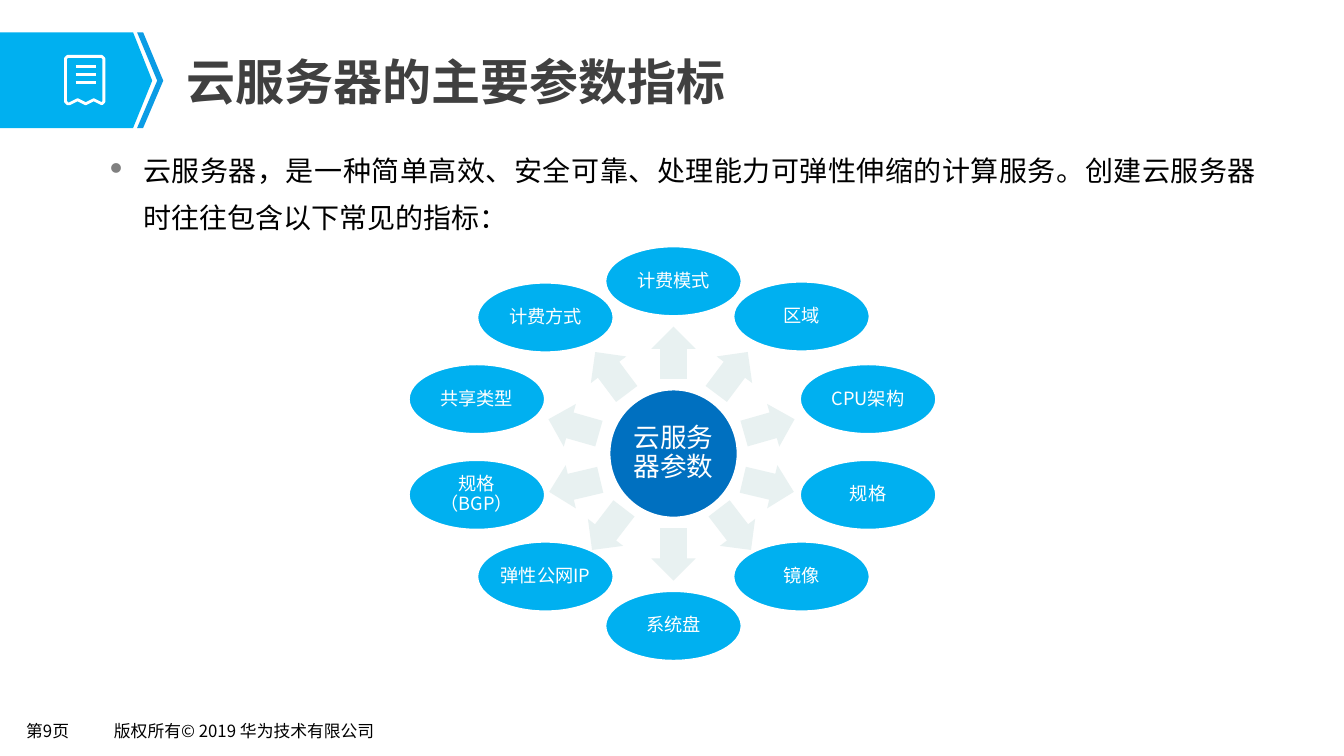
from lxml import etree
from pptx import Presentation
from pptx import util as u
from pptx.dml.color import RGBColor
from pptx.enum import shapes, text
from pptx.oxml.ns import qn

PX = 9144  # 100 px to the inch
FONT = "Noto Sans CJK SC"
WHITE = RGBColor(0xFF, 0xFF, 0xFF)
BLACK = RGBColor(0, 0, 0)
TITLE_GREY = RGBColor(0x40, 0x40, 0x40)
SKY = RGBColor(0x00, 0xB0, 0xF0)
EDGE = RGBColor(0x0B, 0x9C, 0xE5)
DEEP = RGBColor(0x00, 0x70, 0xC0)
PALE = RGBColor(0xE8, 0xF1, 0xF1)

# Clockwise from the top: label, offset of the oval from the hub
PARAMETERS = [
    ("计费模式", 0, -171), ("区域", 127, -136), ("CPU架构", 193, -54),
    ("规格", 193, 41), ("镜像", 127, 122), ("系统盘", 0, 171),
    ("弹性公网IP", -127, 122), ("规格（BGP）", -195, 41),
    ("共享类型", -195, -54), ("计费方式", -127, -135),
]
# Offset and angle of the right-hand arrows; the left side mirrors them
ARROWS = [(60, -80, -53.1), (97, -27, -15.9), (96, 32, 13.3), (63, 75, 52.5)]


def emu(*lengths):
    return [u.Emu(n * PX) for n in lengths]


def style_runs(p, size, color, bold=False):
    for r in p.runs:
        r.font.name = FONT
        r.font.size = u.Pt(size)
        r.font.bold = bold
        r.font.color.rgb = color
        etree.SubElement(r._r.get_or_add_rPr(), qn("a:ea"), typeface=FONT)


def set_margins(tf, x, y):
    tf.margin_left, tf.margin_right = emu(x, x)
    tf.margin_top, tf.margin_bottom = emu(y, y)


def add_text(s, box, words, size, color, bold=False, wrap=True, margins=(9, 4)):
    tf = s.shapes.add_textbox(*emu(*box)).text_frame
    tf.word_wrap = wrap
    set_margins(tf, *margins)
    p = tf.paragraphs[0]
    p.text = words
    style_runs(p, size, color, bold)
    return p


def paint(sp, fill, line=None):
    sp.shadow.inherit = False
    if fill is None:
        sp.fill.background()
    else:
        sp.fill.solid()
        sp.fill.fore_color.rgb = fill
    if line is None:
        sp.line.fill.background()
    else:
        sp.line.color.rgb = line
        sp.line.width = u.Pt(2)


def add_outline(s, x, y, points, fill, line=None):
    points = [(x + dx, y + dy) for dx, dy in points]
    builder = s.shapes.build_freeform(*points[0], scale=PX)
    builder.add_line_segments(points[1:], close=True)
    sp = builder.convert_to_shape()
    paint(sp, fill, line)
    return sp


def draw_receipt(s, x, y):
    sp = add_outline(s, x, y, [
        (3, 1), (37, 1), (39, 3), (39, 46), (37, 48), (29, 44), (21, 48),
        (13, 44), (5, 48), (3, 48), (1, 46), (1, 3)], None, WHITE)
    etree.SubElement(sp.line._get_or_add_ln(), qn("a:round"))
    for row in range(3):
        level = y + 11 + row * 8
        c = s.shapes.add_connector(shapes.MSO_CONNECTOR.STRAIGHT,
                                   *emu(x + 11, level, x + 31, level))
        c.line.color.rgb = WHITE
        c.line.width = u.Pt(1.75)
        etree.SubElement(c._element.spPr, qn("a:effectLst"))


def draw_header(s, x, y, w, h):
    mid = h / 2
    add_outline(s, x, y, [(132, h), (0, h), (0, 0), (132, 0), (151, mid)], SKY)
    add_outline(s, x, y, [(142, 0), (136, 0), (156, mid), (136, h), (142, h),
                          (162, mid)], EDGE)
    draw_receipt(s, x + 64, y + 23)
    add_text(s, (x + 174, y + 13, w - 174, 70), "云服务器的主要参数指标",
             35, TITLE_GREY, bold=True, margins=(11, 6))


def draw_intro(s, box):
    p = add_text(s, box, "云服务器，是一种简单高效、安全可靠、处理能力可弹性伸缩的计算服务。"
                 "创建云服务器时往往包含以下常见的指标：", 20, BLACK)
    p.alignment = text.PP_ALIGN.JUSTIFY
    p.line_spacing = 1.4
    pPr = p._p.get_or_add_pPr()
    pPr.set("marL", str(33 * PX))
    pPr.set("indent", str(-33 * PX))
    color = etree.SubElement(pPr, qn("a:buClr"))
    etree.SubElement(color, qn("a:srgbClr"), val="808080")
    etree.SubElement(pPr, qn("a:buSzPct"), val="60000")
    etree.SubElement(pPr, qn("a:buFont"), typeface="Wingdings")
    etree.SubElement(pPr, qn("a:buChar"), char="l")


def add_centred(s, kind, cx, cy, w, h, fill, line=None):
    sp = s.shapes.add_shape(kind, *emu(cx - w / 2, cy - h / 2, w, h))
    paint(sp, fill, line)
    return sp


def add_oval(s, cx, cy, w, h, fill, label, size, margins):
    sp = add_centred(s, shapes.MSO_SHAPE.OVAL, cx, cy, w, h, fill, WHITE)
    tf = sp.text_frame
    tf.word_wrap = True
    tf.vertical_anchor = text.MSO_ANCHOR.MIDDLE
    # The oval's own text area is inset already
    set_margins(tf, *margins)
    p = tf.paragraphs[0]
    p.text = label
    p.alignment = text.PP_ALIGN.CENTER
    p.line_spacing = 0.9
    style_runs(p, size, WHITE)


def add_arrow(s, cx, cy, angle):
    sp = add_centred(s, shapes.MSO_SHAPE.RIGHT_ARROW, cx, cy, 52, 44, PALE)
    sp.adjustments[0] = 0.6
    sp.adjustments[1] = 0.5
    sp.rotation = angle


def draw_wheel(s, x, y, w, h):
    cx, cy = x + w / 2, y + h / 2
    add_oval(s, cx, cy, 128, 128, DEEP, "云服务器参数", 19, (2, 2))
    for label, dx, dy in PARAMETERS:
        add_oval(s, cx + dx, cy + dy, 136, 70, SKY, label, 13, (2, 2))
    for side in (-1, 1):
        add_arrow(s, cx, cy + side * 100, side * 90)
        for dx, dy, angle in ARROWS:
            add_arrow(s, cx - 2 + side * dx, cy + dy,
                      angle if side > 0 else 180 - angle)


def draw_footer(s, x, y):
    add_text(s, (x, y, 74, 29), "第9页", 12, BLACK, wrap=False)
    add_text(s, (x + 87, y, 285, 29), "版权所有© 2019 华为技术有限公司",
             12, BLACK, wrap=False)


def main():
    prs = Presentation()
    prs.slide_width, prs.slide_height = emu(1333, 750)
    s = prs.slides.add_slide(prs.slide_layouts[6])
    draw_footer(s, 17, 711)
    draw_header(s, 0, 32, 1249, 95)
    draw_intro(s, (100, 135, 1155, 96))
    draw_wheel(s, 405, 244, 526, 412)
    prs.save("out.pptx")


if __name__ == "__main__":
    main()
